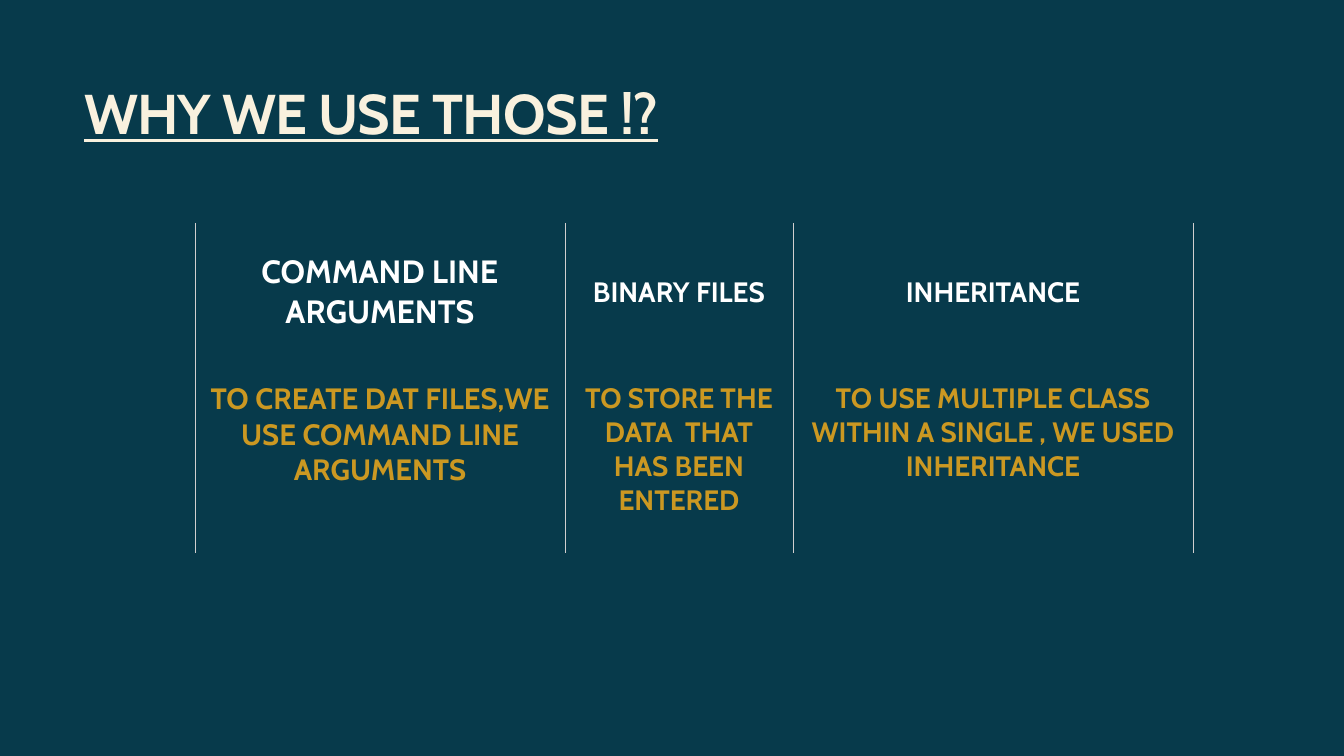
"""Build the slide on why each programming feature is used."""
from lxml.etree import SubElement
from pptx import Presentation
from pptx.dml.color import RGBColor
from pptx.enum.text import MSO_ANCHOR, MSO_AUTO_SIZE, PP_ALIGN
from pptx.oxml import parse_xml
from pptx.oxml.ns import qn
from pptx.util import Emu, Pt

TITLE = "WHY WE USE THOSE !?"
COLUMNS = [
    (370, ("COMMAND LINE ARGUMENTS", 23),
     ("TO CREATE DAT FILES,WE USE COMMAND LINE ARGUMENTS", 21)),
    (228, ("BINARY FILES", 20),
     ("TO STORE THE DATA  THAT HAS BEEN ENTERED", 20)),
    (400, ("INHERITANCE", 20),
     ("TO USE MULTIPLE CLASS WITHIN A SINGLE , WE USED INHERITANCE", 20)),
]
ROWS = [(138, "FFFFFF", MSO_ANCHOR.MIDDLE, 5),
        (192, "CB9822", MSO_ANCHOR.TOP, 20)]
TITLE_BOX = (84, 79, 1176, 67)
TABLE_LEFT, TABLE_TOP = 195, 223
BACKGROUND, CREAM, RULE = "073A4B", "F9F1DE", "D0CECE"
FONT = "Cabin"
NO_STYLE = "{2D5ABB26-0587-4C30-8999-92F81FD0307C}"
NS = "http://schemas.openxmlformats.org/drawingml/2006/main"


def px(n):
    return Emu(round(n * 914400 / 100.8))


def rgb(value):
    return RGBColor.from_string(value)


def add_run(p, text, size, color):
    r = p.add_run()
    r.text = text
    r.font.name = FONT
    r.font.size = Pt(size)
    r.font.bold = True
    r.font.color.rgb = rgb(color)
    return r


def set_borders(cell):
    tcPr = cell._tc.get_or_add_tcPr()
    solid = f'<a:solidFill><a:srgbClr val="{RULE}"/></a:solidFill>'
    sides = [("lnL", solid), ("lnR", solid),
             ("lnT", "<a:noFill/>"), ("lnB", "<a:noFill/>")]
    for i, (side, fill) in enumerate(sides):
        tcPr.insert(i, parse_xml(
            f'<a:{side} xmlns:a="{NS}" w="{Pt(0.5)}">{fill}</a:{side}>'))


def add_title(s):
    sp = s.shapes.title
    sp.left, sp.top, sp.width, sp.height = map(px, TITLE_BOX)
    tf = sp.text_frame
    tf.margin_left = tf.margin_right = tf.margin_top = tf.margin_bottom = 0
    tf.word_wrap = True
    tf.auto_size = MSO_AUTO_SIZE.NONE
    tf.vertical_anchor = MSO_ANCHOR.BOTTOM
    p = tf.paragraphs[0]
    p.alignment = PP_ALIGN.LEFT
    r = add_run(p, TITLE, 40, CREAM)
    r.font.underline = True
    r.font._element.set("spc", "-50")


def add_reasons(s):
    width = sum(col[0] for col in COLUMNS)
    height = sum(row[0] for row in ROWS)
    frame = s.shapes.add_table(len(ROWS), len(COLUMNS), px(TABLE_LEFT),
                               px(TABLE_TOP), px(width), px(height))
    table = frame.table
    table.first_row = table.horz_banding = False
    tblPr = table._tbl.tblPr
    for old in tblPr.findall(qn("a:tableStyleId")):
        tblPr.remove(old)
    SubElement(tblPr, qn("a:tableStyleId")).text = NO_STYLE
    for j, (col_width, *_) in enumerate(COLUMNS):
        table.columns[j].width = px(col_width)
    for i, (row_height, color, anchor, top) in enumerate(ROWS):
        table.rows[i].height = px(row_height)
        for j, (_, *texts) in enumerate(COLUMNS):
            text, size = texts[i]
            cell = table.cell(i, j)
            cell.fill.background()
            cell.vertical_anchor = anchor
            cell.margin_left = cell.margin_right = px(10)
            cell.margin_top, cell.margin_bottom = px(top), px(5)
            set_borders(cell)
            p = cell.text_frame.paragraphs[0]
            p.alignment = PP_ALIGN.CENTER
            p.space_before = Pt(size * 0.2)
            add_run(p, text, size, color)


def main():
    prs = Presentation()
    prs.slide_width, prs.slide_height = px(1344), px(756)
    s = prs.slides.add_slide(prs.slide_layouts[5])
    s.background.fill.solid()
    s.background.fill.fore_color.rgb = rgb(BACKGROUND)
    add_title(s)
    add_reasons(s)
    prs.save("out.pptx")


if __name__ == "__main__":
    main()
